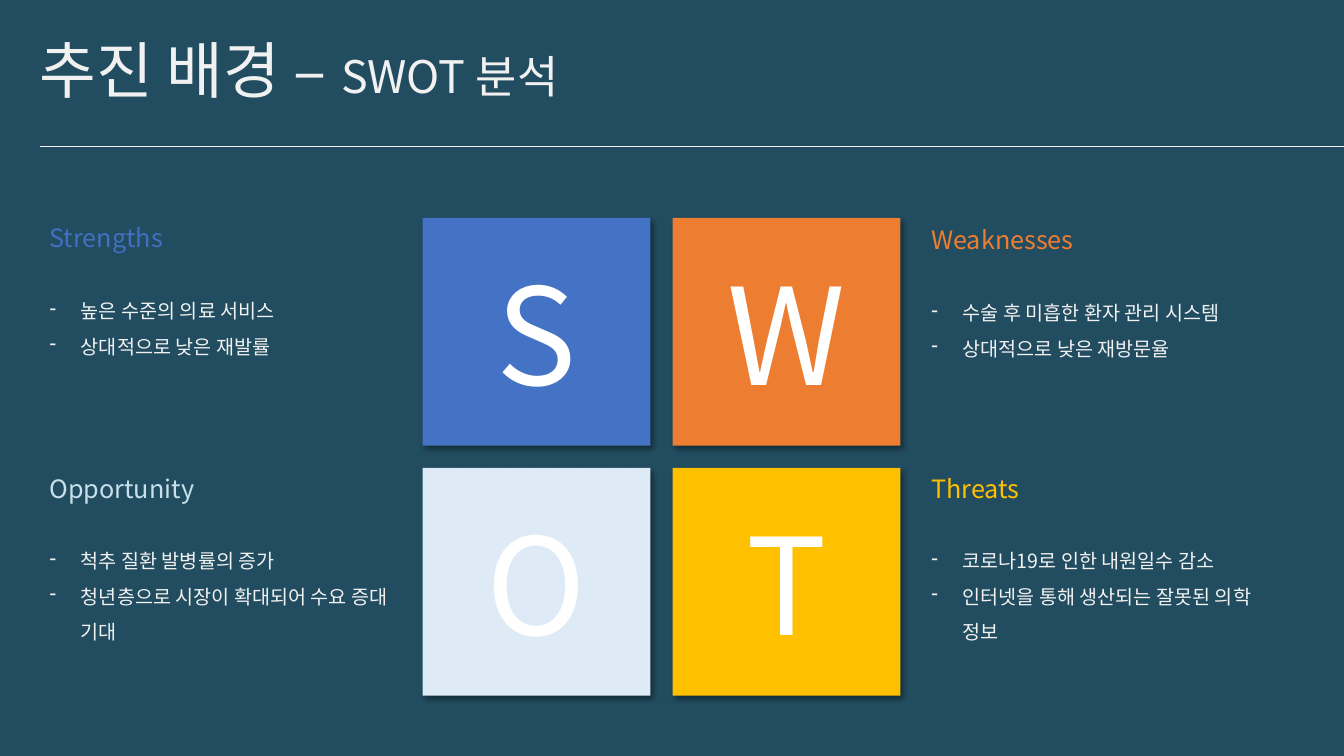
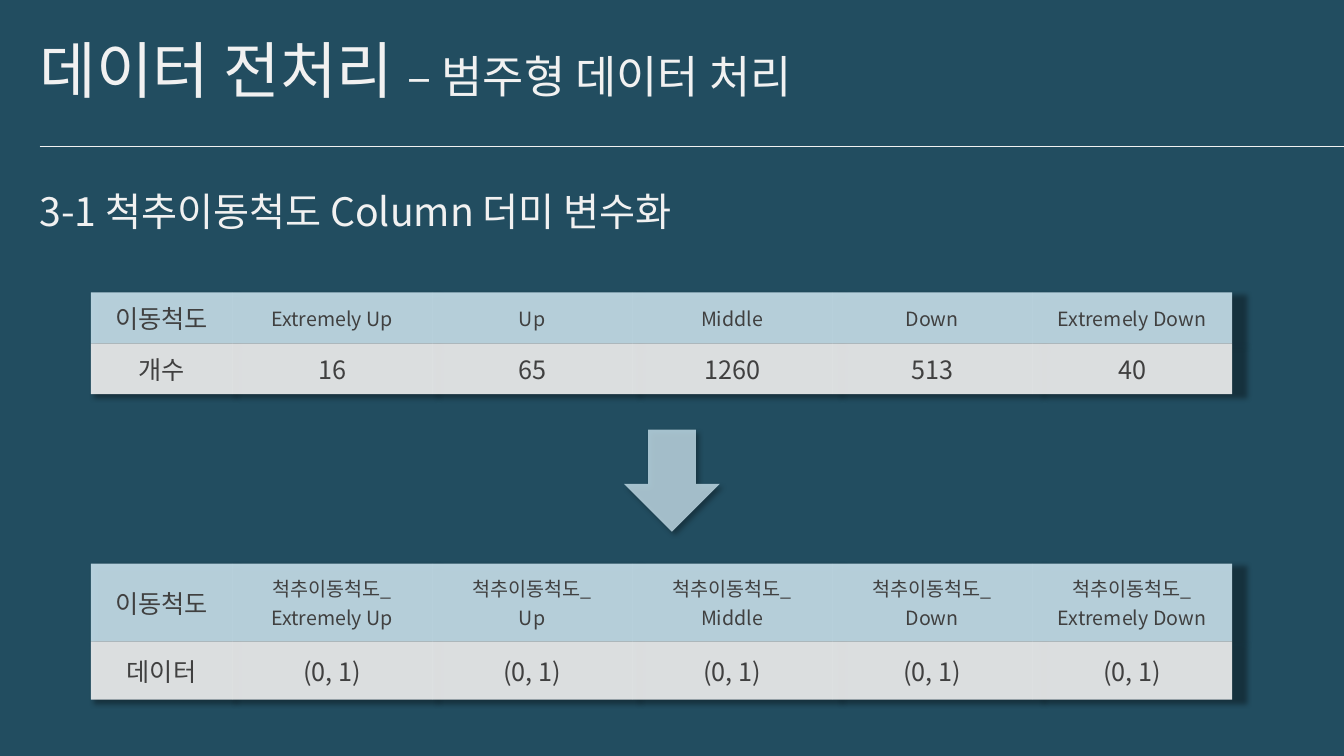
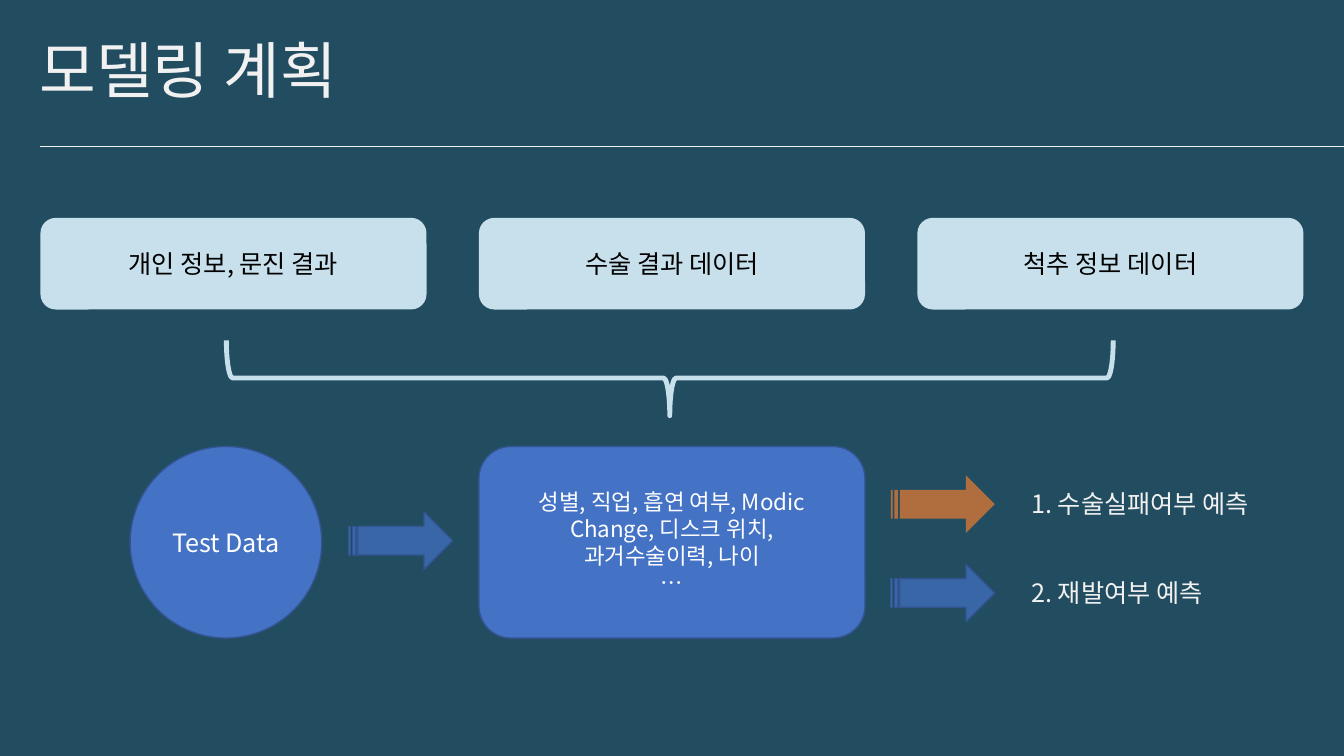
from dataclasses import dataclass
from lxml.etree import SubElement as Sub
from pptx import Presentation
from pptx.dml.color import RGBColor as Rgb
from pptx.enum.shapes import MSO_CONNECTOR as Link, MSO_SHAPE as Kind
from pptx.enum.text import MSO_ANCHOR as Anchor, MSO_AUTO_SIZE as Auto, PP_ALIGN as Align
from pptx.oxml.ns import qn
from pptx.util import Cm, Pt


@dataclass(frozen=True)
class Theme:
    font: str = "Noto Sans CJK KR"
    back: str = "224D60"
    light: str = "F1F1F1"
    pale: str = "C7E0EB"
    ice: str = "DEEBF7"
    blue: str = "4472C4"
    soft: str = "4270C1"
    navy: str = "325491"
    orange: str = "ED7D31"
    gold: str = "FFC000"
    white: str = "FFFFFF"
    black: str = "000000"
    gray: str = "404040"
    giant: int = 96
    title: int = 44
    sub: int = 32
    head: int = 28
    label: int = 18
    body: int = 16
    small: int = 14


class Deck:
    width, height, edge, band = 33.87, 19.05, 1, 3.68

    def __init__(self, theme):
        self.theme = theme
        self.show = Presentation()
        self.show.slide_width, self.show.slide_height = Cm(self.width), Cm(self.height)
        self.paint(self.show.slide_master.background.fill, theme.back)

    def paint(self, fill, color):
        fill.solid()
        fill.fore_color.rgb = Rgb.from_string(color)

    def fade(self, node, alpha):
        color = node.find(qn("a:solidFill")).find(qn("a:srgbClr"))
        Sub(color, qn("a:alpha"), val=str(alpha * 1000))

    def shade(self, effects, **scale):
        glow = Sub(effects, qn("a:outerShdw"), blurRad="50800", dist="38100",
                   dir="2700000", algn="tl", rotWithShape="0", **scale)
        color = Sub(glow, qn("a:srgbClr"), val=self.theme.black)
        Sub(color, qn("a:alpha"), val="40000")

    def letter(self, frame, lines, size, color, align=Align.LEFT, space=None, dash=False):
        for i, line in enumerate(lines):
            para = frame.add_paragraph() if i else frame.paragraphs[0]
            if dash:
                props = para._p.get_or_add_pPr()
                props.set("marL", str(Cm(0.79)))
                props.set("indent", str(-Cm(0.79)))
                Sub(props, qn("a:buChar"), char="-")
            para.alignment = align
            if space:
                para.line_spacing = space
            for part in [(line, size)] if isinstance(line, str) else line:
                run = para.add_run()
                run.text = part[0]
                run.font.size = Pt(part[1])
                run.font.name = self.theme.font
                run.font.color.rgb = Rgb.from_string(color)
                Sub(run._r.rPr, qn("a:ea"), typeface=self.theme.font)

    def inset(self, frame, side, end):
        frame.margin_left = frame.margin_right = Cm(side)
        frame.margin_top = frame.margin_bottom = Cm(end)

    def page(self, *parts):
        self.slide = self.show.slides.add_slide(self.show.slide_layouts[5])
        head = self.slide.shapes.title
        head.left, head.top, head.width, head.height = map(Cm, (0, 0, self.width, self.band))
        frame = head.text_frame
        frame.auto_size = Auto.NONE
        frame.vertical_anchor = Anchor.BOTTOM
        self.inset(frame, 1, 1)
        self.letter(frame, [parts], self.theme.title, self.theme.light, space=0.9)
        rule = self.slide.shapes.add_connector(
            Link.STRAIGHT, *map(Cm, (self.edge, self.band, self.width, self.band)))
        rule.line.color.rgb = Rgb.from_string(self.theme.light)
        rule.line.width = Pt(0.5)
        Sub(rule._element.spPr, qn("a:effectLst"))

    def text(self, box, lines, size, color=None, flat=False, **style):
        frame = self.slide.shapes.add_textbox(*map(Cm, box)).text_frame
        frame.word_wrap = True
        frame.auto_size = Auto.SHAPE_TO_FIT_TEXT
        if flat:
            self.inset(frame, 0, 0)
            frame.vertical_anchor = Anchor.BOTTOM
        self.letter(frame, lines, size, color or self.theme.light, **style)

    def shape(self, kind, box, fill=None, line=None, weight=1, alpha=None, shadow=False,
              turn=0, lines=(), size=None, color=None, pad=None):
        form = self.slide.shapes.add_shape(kind, *map(Cm, box))
        form.shadow.inherit = False
        form.rotation = turn
        props = form._element.spPr
        if fill:
            self.paint(form.fill, fill)
        else:
            form.fill.background()
        if alpha:
            self.fade(props, alpha)
        if line:
            form.line.color.rgb = Rgb.from_string(line)
            form.line.width = Pt(weight)
        else:
            form.line.fill.background()
        if shadow:
            self.shade(props.find(qn("a:effectLst")))
        if lines:
            frame = form.text_frame
            frame.word_wrap = True
            frame.vertical_anchor = Anchor.MIDDLE
            if pad:
                self.inset(frame, pad, pad)
            self.letter(frame, lines, size, color, Align.CENTER)

    def table(self, top, rows, highs):
        first, rest, left = 3.56, 5.04, 2.29
        count = len(rows[0])
        wide = first + rest * (count - 1)
        grid = self.slide.shapes.add_table(
            len(rows), count, *map(Cm, (left, top, wide, sum(highs)))).table
        grid.first_row = grid.horz_banding = False
        props = grid._tbl.tblPr
        props.find(qn("a:tableStyleId")).text = "{2D5ABB26-0587-4C30-8999-92F81FD0307C}"
        effects = Sub(props, qn("a:effectLst"))
        props.insert(0, effects)
        self.shade(effects, sx="101000", sy="101000")
        for c, col in enumerate(grid.columns):
            col.width = Cm(rest if c else first)
        for r, row in enumerate(rows):
            grid.rows[r].height = Cm(highs[r])
            for c, lines in enumerate(row):
                cell = grid.cell(r, c)
                self.paint(cell.fill, self.theme.light if r else self.theme.pale)
                self.fade(cell._tc.tcPr, 90)
                self.inset(cell, 0.3, 0.15)
                cell.vertical_anchor = Anchor.MIDDLE
                size = self.theme.small if c and not r else self.theme.label
                self.letter(cell.text_frame, lines, size, self.theme.gray, Align.CENTER)


def swot(deck):
    t = deck.theme
    deck.page(("추진 배경 – ", t.title), ("SWOT 분석", t.sub))
    side, step, left, top = 5.74, 6.3, 10.65, 5.49
    cards = [
        ("Strengths", t.blue, t.soft, ["높은 수준의 의료 서비스", "상대적으로 낮은 재발률"]),
        ("Weaknesses", t.orange, t.orange,
         ["수술 후 미흡한 환자 관리 시스템", "상대적으로 낮은 재방문율"]),
        ("Opportunity", t.ice, t.pale,
         ["척추 질환 발병률의 증가", "청년층으로 시장이 확대되어 수요 증대 기대"]),
        ("Threats", t.gold, t.gold,
         ["코로나19로 인한 내원일수 감소", "인터넷을 통해 생산되는 잘못된 의학 정보"]),
    ]
    for i, (name, fill, color, notes) in enumerate(cards):
        row, col = divmod(i, 2)
        y = top + row * step
        deck.shape(Kind.RECTANGLE, (left + col * step, y, side, side), fill, shadow=True,
                   lines=[name[0]], size=t.giant, color=t.white)
        x = 23.22 if col else deck.edge
        if i == 1:
            y += 0.05
        deck.text((x, y, 9.12, 1.02), [name], t.label, color)
        deck.text((x, y + 1.63, 9.12, 1.9), notes, t.small, space=1.5, dash=True)


def dummy(deck):
    t = deck.theme
    deck.page(("데이터 전처리 ", t.title), ("– 범주형 데이터 처리", t.sub))
    deck.text((deck.edge, 4.85, 21.2, 1.07), ["3-1 척추이동척도 Column 더미 변수화"],
              t.head, flat=True, space=0.9)
    names = ["Extremely Up", "Up", "Middle", "Down", "Extremely Down"]
    counts = ["16", "65", "1260", "513", "40"]
    deck.table(7.37, [
        [["이동척도"]] + [[name] for name in names],
        [["개수"]] + [[count] for count in counts],
    ], (1.28, 1.28))
    deck.shape(Kind.DOWN_ARROW, (15.73, 10.83, 2.41, 2.57), t.pale, alpha=80, shadow=True)
    deck.table(14.2, [
        [["이동척도"]] + [["척추이동척도_", name] for name in names],
        [["데이터"]] + [["(0, 1)"]] * len(names),
    ], (1.96, 1.47))


def model(deck):
    t = deck.theme
    deck.page(("모델링 계획", t.title))
    wide, step, left = 9.73, 11.05, 1.02
    for i, name in enumerate(["개인 정보, 문진 결과", "수술 결과 데이터", "척추 정보 데이터"]):
        deck.shape(Kind.ROUNDED_RECTANGLE, (left + i * step, 5.49, wide, 2.31), t.pale,
                   lines=[name], size=t.label, color=t.black)
    deck.shape(Kind.LEFT_BRACE, (15.93, -1.65, 1.9, 22.35), line=t.pale, weight=3.5, turn=270)
    top, high = 11.25, 4.83
    deck.shape(Kind.ROUNDED_RECTANGLE, (left + step, top, wide, high), t.blue, t.navy,
               lines=["성별, 직업, 흡연 여부, Modic Change, 디스크 위치, 과거수술이력, 나이", "…"],
               size=t.body, color=t.white, pad=1)
    deck.shape(Kind.OVAL, (3.28, top, high, high), t.blue, t.navy,
               lines=["Test Data"], size=t.label, color=t.white)
    arrows = [(8.79, 12.9, t.blue, t.navy, None),
              (22.45, 11.98, t.orange, None, "1. 수술실패여부 예측"),
              (22.45, 14.22, t.blue, t.navy, "2. 재발여부 예측")]
    for x, y, fill, line, goal in arrows:
        deck.shape(Kind.STRIPED_RIGHT_ARROW, (x, y, 2.62, 1.45), fill, line, alpha=70)
        if goal:
            deck.text((25.74, y + 0.2, 6.7, 1.02), [goal], t.label)


def main():
    deck = Deck(Theme())
    for build in (swot, dummy, model):
        build(deck)
    deck.show.save("out.pptx")


if __name__ == "__main__":
    main()
